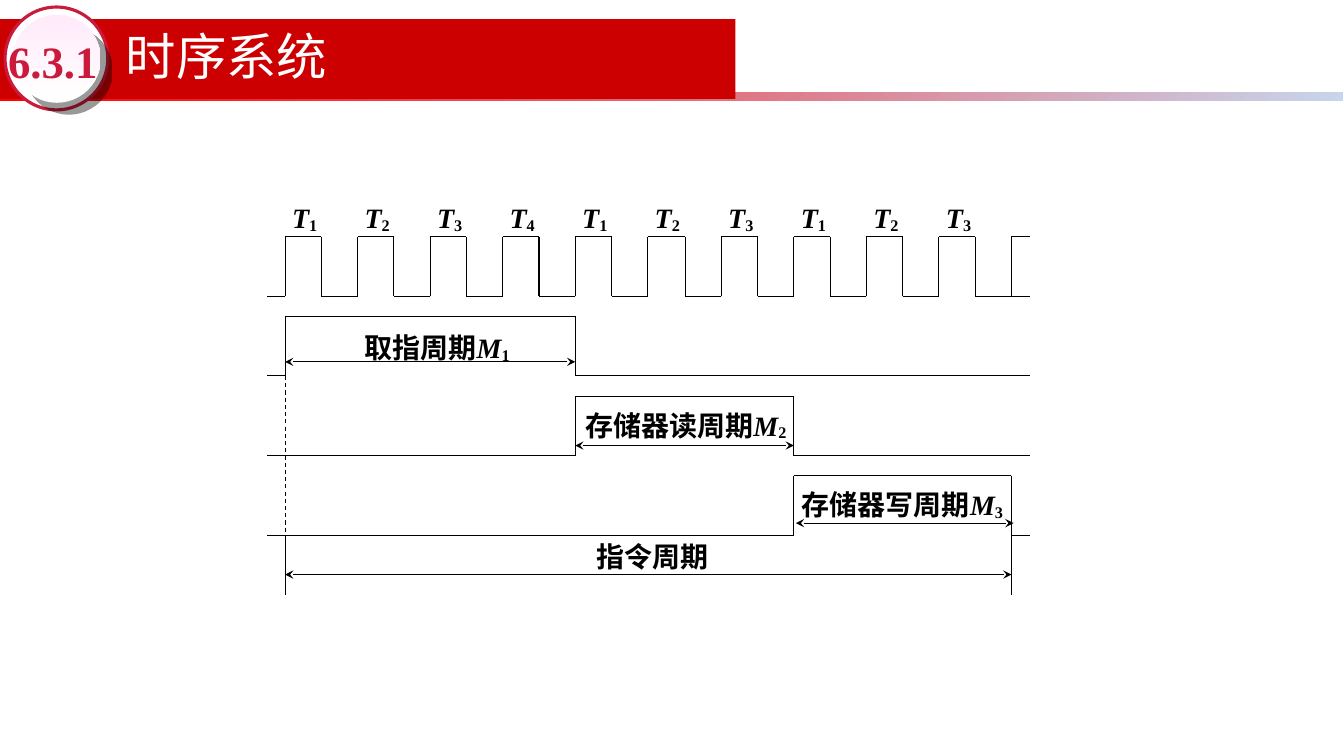
"""Build the instruction-cycle timing diagram slide."""
from dataclasses import dataclass
from itertools import pairwise

from lxml import etree
from pptx import Presentation
from pptx.dml.color import RGBColor
from pptx.enum.dml import MSO_LINE
from pptx.enum.shapes import MSO_CONNECTOR, MSO_SHAPE
from pptx.enum.text import MSO_ANCHOR
from pptx.oxml.ns import qn
from pptx.util import Emu, Pt

STRAIGHT = MSO_CONNECTOR.STRAIGHT
RECTANGLE, OVAL = MSO_SHAPE.RECTANGLE, MSO_SHAPE.OVAL
MIDDLE, TOP = MSO_ANCHOR.MIDDLE, MSO_ANCHOR.TOP
DASH = MSO_LINE.DASH

EMU_PER_PX = 9144
SANS, SERIF = "Noto Sans CJK SC", "Times New Roman"
BLACK, WHITE, RED, CRIMSON = "000000", "FFFFFF", "CC0000", "CB1B3D"

START, END, SPAN, HALF_TICKS = 283, 1004, 721, 20
LEAD = 18
PULSE = 59
CLOCK_LOW = 294
CLOCK_LABELS = "1234123123"
CYCLE_LOW, CYCLE_GAP = 373, 79


@dataclass(frozen=True)
class Box:
    """A rectangle in px."""
    left: int
    top: int
    width: int
    height: int


@dataclass(frozen=True)
class Label:
    """A text with an optional italic symbol and its subscript."""
    box: Box
    text: str
    symbol: str = ""
    index: str = ""
    size: int = 20
    color: str = BLACK
    font: str = SERIF
    bold: bool = True
    anchor: MSO_ANCHOR = TOP
    margins: tuple[int, int] = (10, 5)
    spacing: float = 1.0


@dataclass(frozen=True)
class Cycle:
    """A machine cycle between two half ticks, with its arrow and label."""
    first: int
    last: int
    arrow_left: int
    arrow_y: int
    label: Label


CYCLES = (
    Cycle(0, 8, 283, 359, Label(Box(352, 323, 234, 44), "取指周期", "M", "1")),
    Cycle(8, 14, 571, 442, Label(Box(571, 400, 288, 44), "存储器读周期", "M", "2")),
    Cycle(14, 20, 790, 519, Label(Box(786, 479, 288, 44), "存储器写周期", "M", "3")),
)


def px(value: int) -> Emu:
    """Turn px into EMU."""
    return Emu(value * EMU_PER_PX)


def rgb(color: str) -> RGBColor:
    """Turn a hex string into a colour."""
    return RGBColor.from_string(color)


def tick_x(half_tick: int) -> int:
    """Return the x position of a clock half tick."""
    return START + round(SPAN * half_tick / HALF_TICKS)


def add_filled(slide, kind: MSO_SHAPE, box: Box, colors: tuple[str, ...], angle: int = 0):
    """Add a shape without outline, filled with one colour or a gradient."""
    shape = slide.shapes.add_shape(
        kind, px(box.left), px(box.top), px(box.width), px(box.height))
    shape.shadow.inherit = False
    shape.line.fill.background()
    if len(colors) == 1:
        shape.fill.solid()
        shape.fill.fore_color.rgb = rgb(colors[0])
        return shape
    shape.fill.gradient()
    shape.fill.gradient_angle = angle
    for stop, color in zip(shape.fill.gradient_stops, colors):
        stop.color.rgb = rgb(color)
    return shape


def cast_shadow(shape) -> None:
    """Give a shape a hard shadow to the lower right."""
    effects = shape._element.spPr.find(qn("a:effectLst"))
    shadow = etree.SubElement(effects, qn("a:outerShdw"), dist=str(Pt(12.1)),
                              dir="2700000", algn="ctr", rotWithShape="0")
    color = etree.SubElement(shadow, qn("a:srgbClr"), val=BLACK)
    etree.SubElement(color, qn("a:alpha"), val="40000")


def add_label(slide, label: Label) -> None:
    """Add a text box for a label."""
    box = label.box
    shape = slide.shapes.add_textbox(
        px(box.left), px(box.top), px(box.width), px(box.height))
    frame = shape.text_frame
    frame.word_wrap = True
    frame.vertical_anchor = label.anchor
    frame.margin_left = frame.margin_right = px(label.margins[0])
    frame.margin_top = frame.margin_bottom = px(label.margins[1])
    paragraph = frame.paragraphs[0]
    paragraph.line_spacing = label.spacing
    font = paragraph.font
    font.size, font.bold, font.name = Pt(label.size), label.bold, label.font
    font.color.rgb = rgb(label.color)
    etree.SubElement(paragraph._p.pPr.find(qn("a:defRPr")), qn("a:ea"), typeface=SANS)
    if label.text:
        paragraph.add_run().text = label.text
    if label.symbol:
        symbol = paragraph.add_run()
        symbol.text = label.symbol
        symbol.font.italic = True
        index = paragraph.add_run()
        index.text = label.index
        index._r.get_or_add_rPr().set("baseline", "-10000")


def add_line(slide, start: tuple[int, int], end: tuple[int, int],
             arrows: bool = False, dashed: bool = False) -> None:
    """Add a thin black line, with arrowheads at both ends if asked."""
    connector = slide.shapes.add_connector(STRAIGHT, *map(px, start + end))
    connector.line.width = Pt(0.75)
    connector.line.color.rgb = rgb(BLACK)
    if dashed:
        connector.line.dash_style = DASH
    properties = connector._element.spPr
    if arrows:
        for tag in ("a:headEnd", "a:tailEnd"):
            etree.SubElement(properties.find(qn("a:ln")), qn(tag), type="stealth")
    etree.SubElement(properties, qn("a:effectLst"))


def add_signal(slide, low: int, pulses: list[tuple[int, int]]) -> None:
    """Draw a signal that is high within each pulse."""
    points = [(START - LEAD, low)]
    for left, right in pulses:
        points += [(left, low), (left, low - PULSE), (right, low - PULSE), (right, low)]
    if points[-1][0] < END:
        points.append((END + LEAD, low))
    elif len(pulses) == 1:
        points.append((END + LEAD, low))
    for start, end in pairwise(points):
        add_line(slide, start, end)


def add_header(slide) -> None:
    """Draw the title band and the numbered badge."""
    add_filled(slide, RECTANGLE, Box(0, 92, 1333, 8), ("FF0000", "C7D5ED"), 315)
    add_filled(slide, RECTANGLE, Box(0, 19, 730, 79), (RED,))
    ring = add_filled(slide, OVAL, Box(5, 7, 102, 102), (WHITE,))
    ring.line.color.rgb = rgb(CRIMSON)
    ring.line.width = Pt(2.25)
    cast_shadow(add_filled(slide, OVAL, Box(13, 15, 87, 87), (WHITE, "FFEBFA"), 90))
    add_label(slide, Label(Box(115, 18, 744, 82), "时序系统", size=36, color=WHITE,
                           font=SANS, bold=False, anchor=MIDDLE, spacing=0.9))
    add_label(slide, Label(Box(8, 33, 93, 54), "6.3.1", size=32, color=CRIMSON,
                           anchor=MIDDLE, margins=(0, 0)))


def add_clock(slide) -> None:
    """Draw the clock, its state labels and the rise that starts the next cycle."""
    high = CLOCK_LOW - PULSE
    add_signal(slide, CLOCK_LOW, [(tick_x(tick), tick_x(tick + 1))
                                  for tick in range(0, HALF_TICKS, 2)])
    for number, index in enumerate(CLOCK_LABELS):
        add_label(slide, Label(Box(tick_x(2 * number) - 3, 194, 108, 44), "", "T", index))
    add_line(slide, (END, CLOCK_LOW), (END, high))
    add_line(slide, (END, high), (END + LEAD, high))


def add_cycles(slide) -> None:
    """Draw the machine cycles and the whole instruction cycle."""
    for row, cycle in enumerate(CYCLES):
        left, right = tick_x(cycle.first), tick_x(cycle.last)
        add_signal(slide, CYCLE_LOW + row * CYCLE_GAP, [(left, right)])
        add_line(slide, (cycle.arrow_left, cycle.arrow_y),
                 (cycle.arrow_left + right - left, cycle.arrow_y), arrows=True)
        add_label(slide, cycle.label)
    bottom = CYCLE_LOW + 2 * CYCLE_GAP
    add_line(slide, (START, CYCLE_LOW), (START, bottom), dashed=True)
    for x in (START, END):
        add_line(slide, (x, bottom), (x, bottom + PULSE))
    add_line(slide, (START, 570), (END, 570), arrows=True)
    add_label(slide, Label(Box(582, 530, 216, 44), "指令周期"))


def main() -> None:
    """Build and save the presentation."""
    presentation = Presentation()
    presentation.slide_width, presentation.slide_height = px(1334), px(750)
    slide = presentation.slides.add_slide(presentation.slide_layouts[6])
    add_header(slide)
    add_clock(slide)
    add_cycles(slide)
    presentation.save("out.pptx")


if __name__ == "__main__":
    main()
